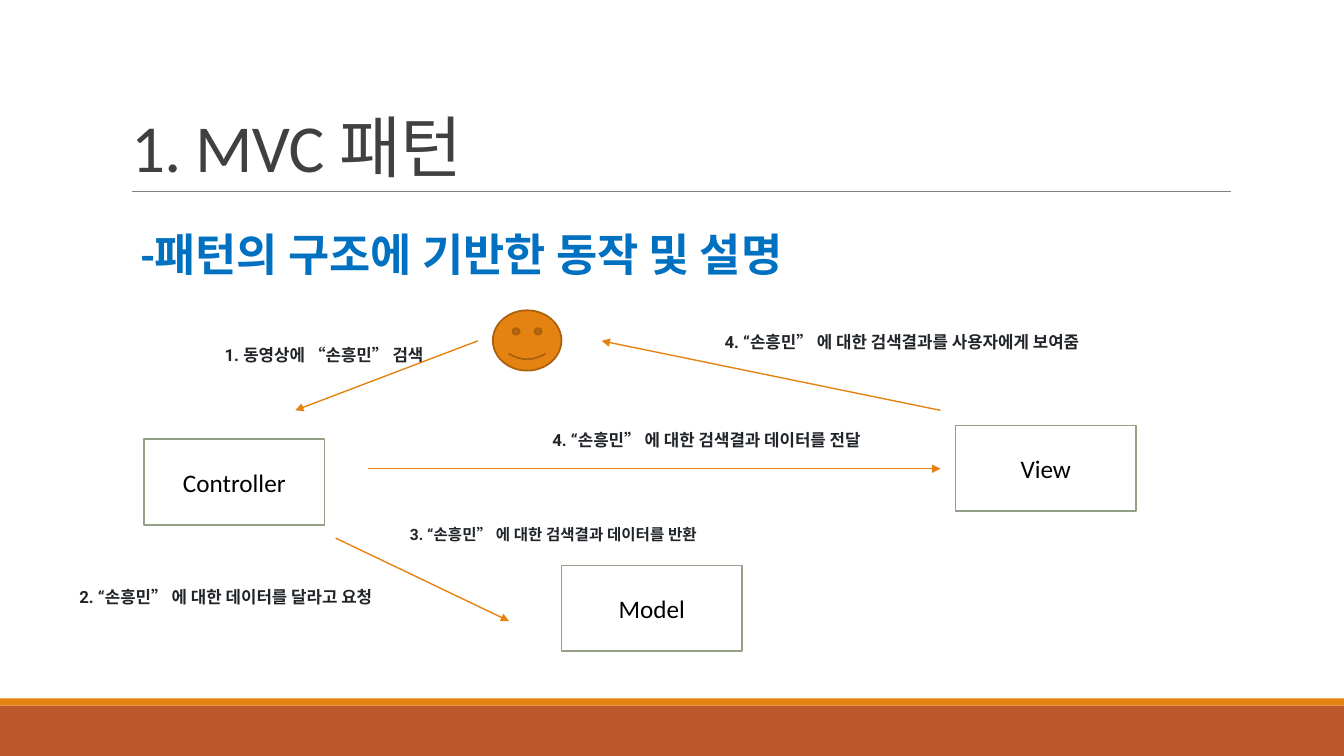
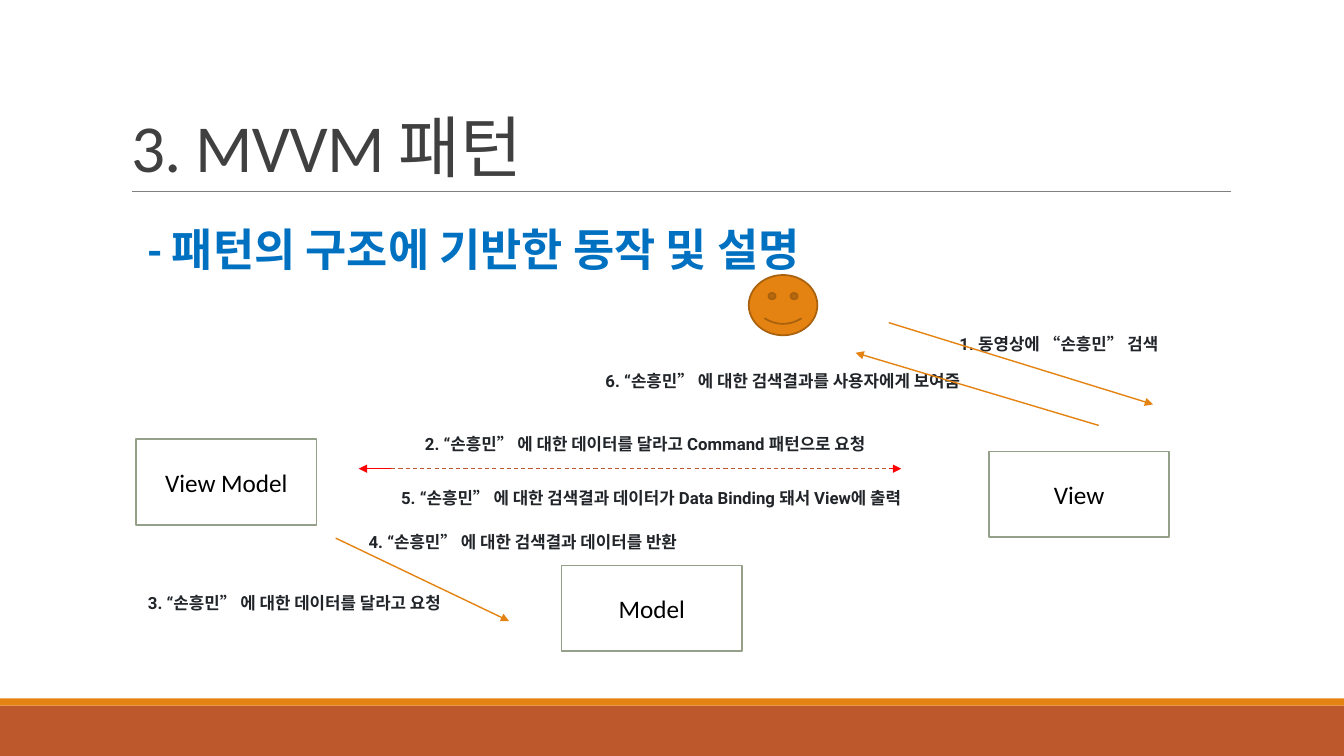
from dataclasses import dataclass

from lxml.etree import SubElement
from pptx import Presentation
from pptx.dml.color import RGBColor
from pptx.enum.dml import MSO_LINE
from pptx.enum.shapes import MSO_CONNECTOR, MSO_SHAPE
from pptx.enum.text import MSO_ANCHOR, MSO_AUTO_SIZE, PP_ALIGN
from pptx.oxml.ns import qn
from pptx.util import Cm, Pt


@dataclass(frozen=True)
class Theme:
    band: str = "BD582C"
    accent: str = "E48312"
    accent_dark: str = "A9610D"
    divider: str = "808080"
    title: str = "404040"
    heading: str = "0070C0"
    label: str = "212529"
    box_line: str = "94A088"
    box_fill: str = "FFFFFF"
    box_text: str = "000000"
    data_arrow: str = "FF0000"
    font: str = "Calibri"
    label_font: str = "Roboto"
    title_size: float = 48
    heading_size: float = 32
    box_size: float = 18
    label_size: float = 12
    small_label_size: float = 11.1


theme = Theme()
MODEL_BOX = ("Model", 14.15, 14.25)
MODEL_ARROW = (8.46, 13.56, 12.83, 15.65)

diagrams = [
    {
        "title": "1. MVC 패턴",
        "heading": ("-패턴의 구조에 기반한 동작 및 설명", 3.3, 5.59, 19.08),
        "labels": [
            ("1. 동영상에 “손흥민” 검색", 5.41, 8.61, 5.54, theme.label_size),
            ("2. “손흥민” 에 대한 데이터를 달라고 요청", 1.75, 14.71, 8.33, theme.label_size),
            ("3. “손흥민” 에 대한 검색결과 데이터를 반환", 10.08, 13.16, 7.92, theme.small_label_size),
            ("4. “손흥민” 에 대한 검색결과 데이터를 전달", 13.67, 10.77, 8.53, theme.label_size),
            ("4. “손흥민” 에 대한 검색결과를 사용자에게 보여줌", 18.01, 8.28, 11.2, theme.label_size),
        ],
        "face": (12.42, 7.82),
        "boxes": [("Controller", 3.63, 11.07), MODEL_BOX, ("View", 24.08, 10.72)],
        "arrows": [
            MODEL_ARROW,
            (9.27, 11.81, 23.7, 11.81),
            (12.04, 8.59, 7.44, 10.34),
            (23.7, 10.34, 15.16, 8.59),
        ],
        "binding": [],
        "binding_arrows": [],
    },
    {
        "title": "3. MVVM 패턴",
        "heading": ("- 패턴의 구조에 기반한 동작 및 설명", 3.48, 5.46, 19.23),
        "labels": [
            ("1. 동영상에 “손흥민” 검색", 23.93, 8.33, 5.54, theme.label_size),
            ("2. “손흥민” 에 대한 데이터를 달라고 Command 패턴으로 요청", 10.46, 10.85, 12.24, theme.label_size),
            ("3. “손흥민” 에 대한 데이터를 달라고 요청", 3.48, 14.86, 8.33, theme.label_size),
            ("4. “손흥민” 에 대한 검색결과 데이터를 반환", 9.04, 13.34, 8.53, theme.label_size),
            ("5. “손흥민” 에 대한 검색결과 데이터가 Data Binding 돼서 View에 출력", 9.86, 12.22, 16.13, theme.label_size),
            ("6. “손흥민” 에 대한 검색결과를 사용자에게 보여줌", 15.01, 9.27, 11.2, theme.label_size),
        ],
        "face": (18.87, 6.93),
        "boxes": [("View Model", 3.43, 11.07), MODEL_BOX, ("View", 24.92, 11.38)],
        "arrows": [
            MODEL_ARROW,
            (22.4, 8.13, 29.06, 10.19),
            (27.69, 10.72, 21.56, 8.89),
        ],
        "binding": [(9.86, 11.81, 22.4, 11.81)],
        "binding_arrows": [(9.86, 11.81, 9.04, 11.81), (22.4, 11.81, 22.71, 11.81)],
    },
]


def write(shape, text, size, color, font=theme.font, bold=False):
    shape.text_frame.word_wrap = True
    paragraph = shape.text_frame.paragraphs[0]
    run = paragraph.add_run()
    run.text = text
    run.font.name = font
    run.font.size = Pt(size)
    run.font.bold = bold
    run.font.color.rgb = RGBColor.from_string(color)
    return paragraph


def draw_line(slide, ends, color, width, dashed=False, arrow=False):
    connector = slide.shapes.add_connector(MSO_CONNECTOR.STRAIGHT, *map(Cm, ends))
    connector.line.color.rgb = RGBColor.from_string(color)
    connector.line.width = Pt(width)
    if dashed:
        connector.line.dash_style = MSO_LINE.DASH
    if arrow:
        outline = connector.element.xpath(".//a:ln")[0]
        SubElement(outline, qn("a:tailEnd"), type="triangle")
    SubElement(connector.element.xpath("./p:spPr")[0], qn("a:effectLst"))
    return connector


presentation = Presentation()
presentation.slide_width = Cm(33.87)
presentation.slide_height = Cm(19.05)
layout = presentation.slide_layouts.get_by_name("Title and Content")
slides = [presentation.slides.add_slide(layout) for diagram in diagrams]

title_holder = layout.placeholders[0]
title_holder.left, title_holder.top = Cm(3.05), Cm(0.79)
title_holder.width, title_holder.height = Cm(27.94), Cm(4.04)

furniture = [draw_line(slides[0], (3.33, 4.83, 31.01, 4.83), theme.divider, 0.5)]
for top, height, color in [(17.6, 0.18, theme.accent), (17.78, 1.27, theme.band)]:
    band = slides[0].shapes.add_shape(
        MSO_SHAPE.RECTANGLE, 0, Cm(top), presentation.slide_width, Cm(height)
    )
    band.shadow.inherit = False
    band.fill.solid()
    band.fill.fore_color.rgb = RGBColor.from_string(color)
    band.line.fill.background()
    furniture.append(band)
for shape in furniture:
    layout.shapes.element.insert(2, shape.element)

for slide, diagram in zip(slides, diagrams):
    title = slide.shapes.title
    title.text_frame.auto_size = MSO_AUTO_SIZE.NONE
    title.text_frame.vertical_anchor = MSO_ANCHOR.BOTTOM
    paragraph = write(title, diagram["title"], theme.title_size, theme.title)
    paragraph.alignment = PP_ALIGN.LEFT
    paragraph.line_spacing = 0.85
    title.element.xpath(".//a:rPr")[0].set("spc", "-50")

    text, left, top, width = diagram["heading"]
    heading = slide.shapes.add_textbox(Cm(left), Cm(top), Cm(width), Cm(1.63))
    heading.text_frame.auto_size = MSO_AUTO_SIZE.SHAPE_TO_FIT_TEXT
    write(heading, text, theme.heading_size, theme.heading, bold=True)

    for index, (text, left, top, width, size) in enumerate(diagram["labels"]):
        if index == 0:
            label = slide.placeholders[1]
        else:
            label = slide.shapes.add_textbox(0, 0, Cm(width), Cm(0.94))
        label.left, label.top = Cm(left), Cm(top)
        label.width, label.height = Cm(width), Cm(0.94)
        frame = label.text_frame
        frame.auto_size = MSO_AUTO_SIZE.NONE
        frame.margin_left = frame.margin_right = 0
        paragraph = write(label, text, size, theme.label, theme.label_font, True)
        paragraph.line_spacing = 0.9
        paragraph.space_before = Pt(12)
        paragraph.space_after = Pt(2)
        properties = label.element.xpath(".//a:pPr")[0]
        properties.set("marL", str(Cm(0.25)))
        properties.set("indent", str(-Cm(0.25)))
        bullet_color = SubElement(properties, qn("a:buClr"))
        SubElement(bullet_color, qn("a:srgbClr"), val=theme.accent)
        SubElement(properties, qn("a:buChar"), char=" ")

    left, top = diagram["face"]
    face = slide.shapes.add_shape(
        MSO_SHAPE.SMILEY_FACE, Cm(left), Cm(top), Cm(1.73), Cm(1.52)
    )
    face.shadow.inherit = False
    face.fill.solid()
    face.fill.fore_color.rgb = RGBColor.from_string(theme.accent)
    face.line.color.rgb = RGBColor.from_string(theme.accent_dark)
    face.line.width = Pt(1.25)

    for name, left, top in diagram["boxes"]:
        box = slide.shapes.add_shape(
            MSO_SHAPE.RECTANGLE, Cm(left), Cm(top), Cm(4.55), Cm(2.16)
        )
        box.shadow.inherit = False
        box.fill.solid()
        box.fill.fore_color.rgb = RGBColor.from_string(theme.box_fill)
        box.line.color.rgb = RGBColor.from_string(theme.box_line)
        box.line.width = Pt(1.25)
        box.text_frame.vertical_anchor = MSO_ANCHOR.MIDDLE
        paragraph = write(box, name, theme.box_size, theme.box_text)
        paragraph.alignment = PP_ALIGN.CENTER

    for ends in diagram["arrows"]:
        draw_line(slide, ends, theme.accent, 1, arrow=True)
    for ends in diagram["binding"]:
        draw_line(slide, ends, theme.band, 0.75, dashed=True)
    for ends in diagram["binding_arrows"]:
        draw_line(slide, ends, theme.data_arrow, 1, arrow=True)

presentation.save("out.pptx")
